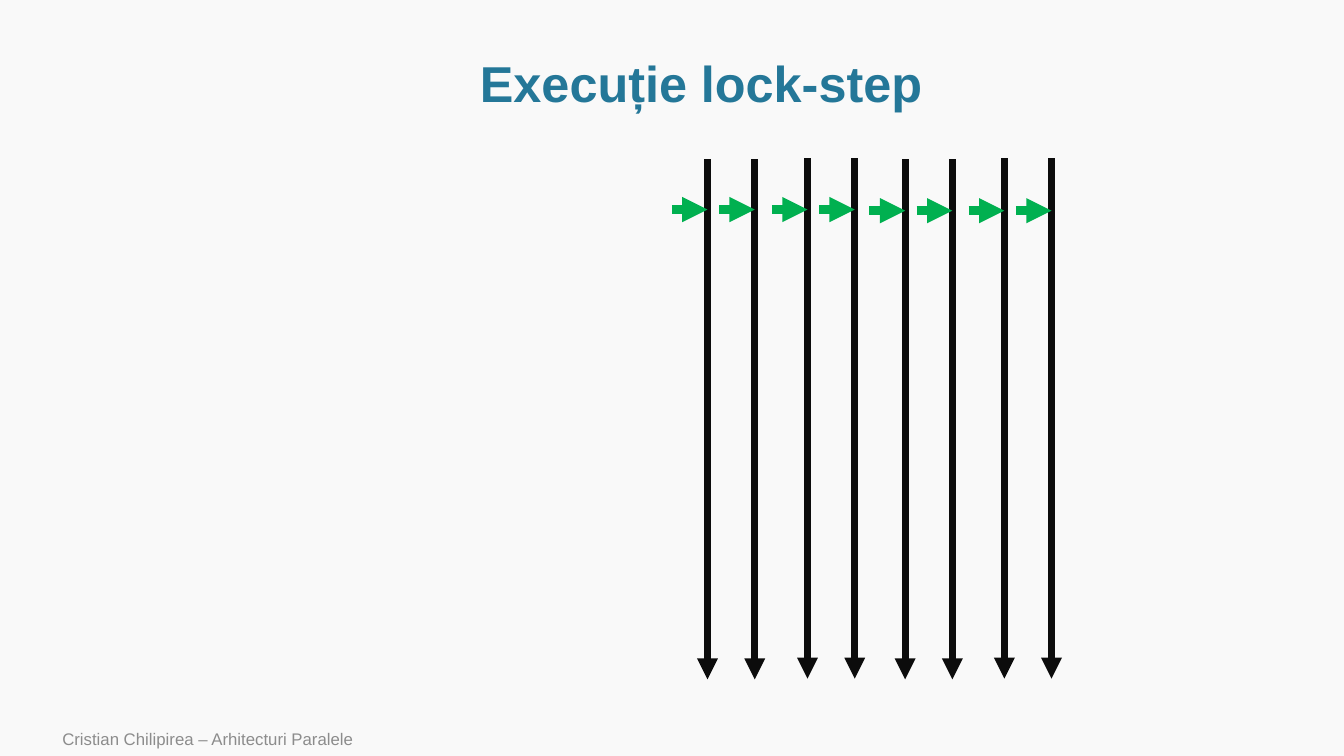
"""Build the lock-step execution slide: eight threads advancing together."""
from lxml.etree import SubElement
from pptx import Presentation
from pptx.dml.color import RGBColor
from pptx.enum.shapes import MSO_CONNECTOR
from pptx.enum.text import MSO_ANCHOR, PP_ALIGN
from pptx.oxml.ns import qn
from pptx.util import Cm, Pt

BACKGROUND = RGBColor(0xF9, 0xF9, 0xF9)
TITLE_BLUE = RGBColor(0x24, 0x77, 0x98)
FOOTER_GREY = RGBColor(0x8C, 0x8C, 0x8C)
THREAD_BLACK = RGBColor(0x0C, 0x0C, 0x0C)
STEP_GREEN = RGBColor(0x00, 0xB0, 0x50)


def write_line(box, text, align, color, font_format):
    frame = box.text_frame
    frame.word_wrap = True
    frame.vertical_anchor = MSO_ANCHOR.MIDDLE
    line = frame.paragraphs[0]
    line.text = text
    line.alignment = align
    line.font.color.rgb = color
    for attribute, value in font_format.items():
        setattr(line.font, attribute, value)
    return line


def add_arrow(start, end, color, width):
    arrow = slide.shapes.add_connector(
        MSO_CONNECTOR.STRAIGHT, *(Cm(length) for length in start + end))
    arrow.line.color.rgb = color
    arrow.line.width = Pt(width)
    SubElement(arrow.line._get_or_add_ln(), qn("a:tailEnd"), type="triangle")
    SubElement(arrow._element.spPr, qn("a:effectLst"))


deck = Presentation()
deck.slide_width = Cm(33.87)
deck.slide_height = Cm(19.05)
slide = deck.slides.add_slide(deck.slide_layouts[5])
slide.background.fill.solid()
slide.background.fill.fore_color.rgb = BACKGROUND

title = slide.shapes.title
title_place = {"left": 2.9, "top": 1.3, "width": 29.54, "height": 1.75}
for side, length in title_place.items():
    setattr(title, side, Cm(length))
heading = write_line(title, "Execuție lock-step", PP_ALIGN.CENTER, TITLE_BLUE,
                     {"name": "Arial", "size": Pt(36), "bold": True})
heading.line_spacing = 0.9

footer = slide.shapes.add_textbox(Cm(1.32), Cm(18.19), Cm(21.34), Cm(0.86))
write_line(footer, "Cristian Chilipirea – Arhitecturi Paralele", PP_ALIGN.LEFT,
           FOOTER_GREY, {"name": "Arial", "size": Pt(12)})

THREAD_GAP = 1.19
THREAD_LENGTH = 13.11
STEP_LENGTH = 0.9
thread_pairs = [(17.83, 4.01, 5.28), (20.35, 3.99, 5.28),
                (22.81, 4.01, 5.31), (25.31, 3.99, 5.31)]
threads = [(left + member * THREAD_GAP, top, step_y)
           for left, top, step_y in thread_pairs for member in range(2)]

for x, top, step_y in threads:
    add_arrow((x, top), (x, top + THREAD_LENGTH), THREAD_BLACK, 5)
for x, top, step_y in threads:
    add_arrow((x - STEP_LENGTH, step_y), (x, step_y), STEP_GREEN, 6)

deck.save("out.pptx")
